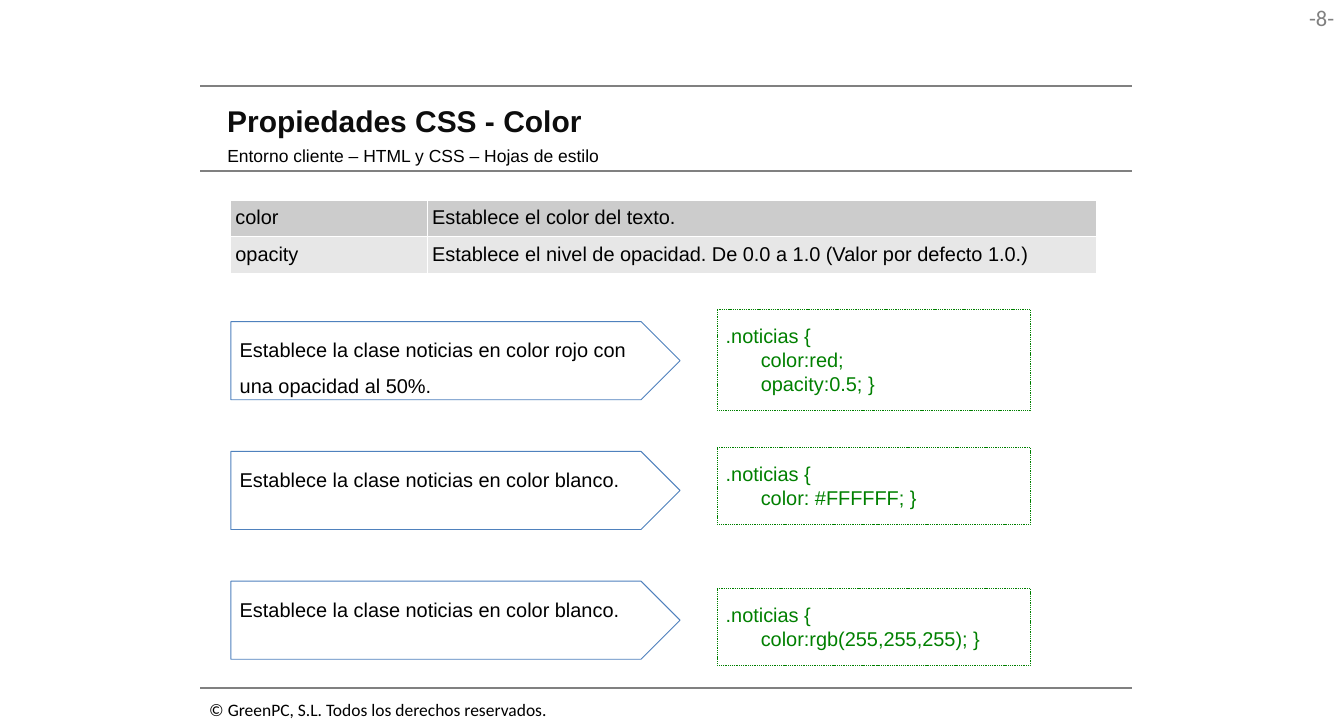
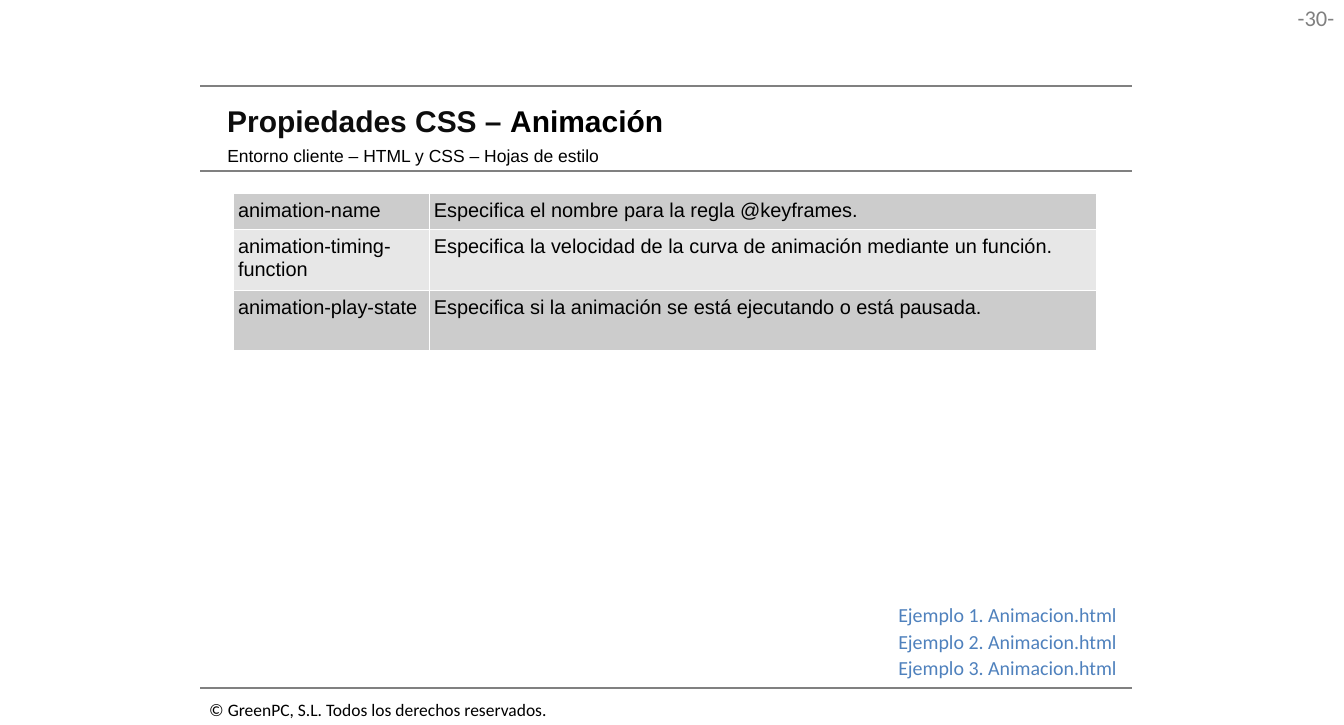
from lxml.etree import SubElement
from pptx import Presentation
from pptx.dml.color import RGBColor
from pptx.enum.dml import MSO_LINE
from pptx.enum.shapes import MSO_CONNECTOR, MSO_SHAPE
from pptx.enum.text import MSO_ANCHOR, PP_ALIGN
from pptx.oxml.ns import qn
from pptx.util import Inches, Pt

COLORS = {
    "black": "000000", "title": "0D0D0D", "gray": "808080", "white": "FFFFFF",
    "code": "008000", "blue": "4F81BD", "dark band": "CCCCCC", "light band": "E7E7E7",
}
STYLES = {
    "title": {"name": "Arial", "size": Pt(24), "bold": True, "color": "title"},
    "title black": {"name": "Arial", "size": Pt(24), "bold": True, "color": "black"},
    "subtitle": {"name": "Arial", "size": Pt(14), "color": "black"},
    "body": {"name": "Arial", "size": Pt(16), "color": "black"},
    "code": {"name": "Arial", "size": Pt(16), "color": "code"},
    "example": {"name": "Calibri", "size": Pt(16), "color": "blue"},
    "footer": {"name": "Calibri", "size": Pt(14), "color": "black"},
    "number": {"name": "Calibri", "size": Pt(18), "color": "gray"},
}
PLAIN_FRAME = {"word_wrap": True, "vertical_anchor": MSO_ANCHOR.TOP}
HEADING_FRAME = {
    "word_wrap": True, "vertical_anchor": MSO_ANCHOR.MIDDLE,
    "margin_left": Inches(0.13), "margin_right": Inches(0.13),
    "margin_top": Inches(0.07), "margin_bottom": Inches(0.07),
}
CODE_FRAME = {**PLAIN_FRAME, "margin_top": Inches(0.16), "margin_bottom": Inches(0.16)}
CELL_FORMAT = {
    "margin_left": Inches(0.05), "margin_right": Inches(0.05),
    "margin_top": Inches(0.07), "margin_bottom": Inches(0.07),
}

# Slide contents
SLIDES = [
    {
        "number": "-8-",
        "title": [("Propiedades CSS - Color", "title")],
        "table": {
            "left": 17.18, "top": 27.63, "columns": [14.64, 49.8], "rows": [4.87, 4.87],
            "cells": [
                ("color", "Establece el color del texto."),
                ("opacity", "Establece el nivel de opacidad. De 0.0 a 1.0 (Valor por defecto 1.0.)"),
            ],
        },
        # Explanation, top and height of the code box, code lines
        "rules": [
            ("Establece la clase noticias en color rojo con una opacidad al 50%.",
             42.63, 14, ["color:red;", "opacity:0.5; }"]),
            ("Establece la clase noticias en color blanco.",
             61.71, 10.66, ["color: #FFFFFF; }"]),
            ("Establece la clase noticias en color blanco.",
             81.16, 10.66, ["color:rgb(255,255,255); }"]),
        ],
        "examples": [],
    },
    {
        "number": "-30-",
        "title": [("Propiedades CSS – ", "title"), ("Animación", "title black")],
        "table": {
            "left": 17.38, "top": 26.64, "columns": [14.57, 49.67], "rows": [4.96, 8.3, 8.3],
            "cells": [
                ("animation-name", "Especifica el nombre para la regla @keyframes."),
                ("animation-timing-function",
                 "Especifica la velocidad de la curva de animación mediante un función."),
                ("animation-play-state",
                 "Especifica si la animación se está ejecutando o está pausada."),
            ],
        },
        "rules": [],
        "examples": [f"Ejemplo {number}. Animacion.html" for number in (1, 2, 3)],
    },
]

presentation = Presentation()
presentation.slide_width = Inches(14.96)
presentation.slide_height = Inches(8.07)
# The grid has 100 columns and 100 rows
COLUMN = presentation.slide_width / 100
ROW = presentation.slide_height / 100


def add_box(slide, left, top, width, height, frame_format, kind=None):
    """Add a text box, or a preset shape when a kind is given, placed on the grid."""
    place = int(left * COLUMN), int(top * ROW), int(width * COLUMN), int(height * ROW)
    if kind is None:
        shape = slide.shapes.add_textbox(*place)
    else:
        shape = slide.shapes.add_shape(kind, *place)
        shape.shadow.inherit = False
    for attribute, value in frame_format.items():
        setattr(shape.text_frame, attribute, value)
    return shape


def write(paragraph, text, style, alignment=PP_ALIGN.LEFT):
    """Add one run of styled text to a paragraph."""
    paragraph.alignment = alignment
    run = paragraph.add_run()
    run.text = text
    for attribute, value in STYLES[style].items():
        if attribute == "color":
            run.font.color.rgb = RGBColor.from_string(COLORS[value])
        else:
            setattr(run.font, attribute, value)


for content in SLIDES:
    slide = presentation.slides.add_slide(presentation.slide_layouts[6])

    # Page number, rules and footer
    number = add_box(slide, 94.45, 0, 5.48, 5.08, PLAIN_FRAME)
    write(number.text_frame.paragraphs[0], content["number"], "number", PP_ALIGN.RIGHT)
    for row in (11.9, 23.54, 94.92):
        line = slide.shapes.add_connector(
            MSO_CONNECTOR.STRAIGHT,
            int(14.91 * COLUMN), int(row * ROW), int(84.22 * COLUMN), int(row * ROW))
        line.line.color.rgb = RGBColor.from_string(COLORS["gray"])
        line.line.width = Pt(1.5)
        SubElement(line._element.spPr, qn("a:effectLst"))
    footer = add_box(slide, 14.91, 95.79, 28, 4.21, PLAIN_FRAME)
    write(footer.text_frame.paragraphs[0],
          "© GreenPC, S.L. Todos los derechos reservados.", "footer")

    # Title and subtitle
    title = add_box(slide, 16.04, 13.26, 67.65, 6.69, HEADING_FRAME)
    for text, style in content["title"]:
        write(title.text_frame.paragraphs[0], text, style)
    subtitle = add_box(slide, 16.04, 19.21, 50.8, 4.58, HEADING_FRAME)
    write(subtitle.text_frame.paragraphs[0],
          "Entorno cliente – HTML y CSS – Hojas de estilo", "subtitle")

    # Table of properties
    layout = content["table"]
    table = slide.shapes.add_table(
        len(layout["rows"]), len(layout["columns"]),
        int(layout["left"] * COLUMN), int(layout["top"] * ROW),
        int(sum(layout["columns"]) * COLUMN), int(sum(layout["rows"]) * ROW)).table
    table.first_row = table.horz_banding = False
    for column, width in zip(table.columns, layout["columns"]):
        column.width = int(width * COLUMN)
    for index, (row, height) in enumerate(zip(table.rows, layout["rows"])):
        row.height = int(height * ROW)
        band = "light band" if index % 2 else "dark band"
        for cell, text in zip(row.cells, layout["cells"][index]):
            for attribute, value in CELL_FORMAT.items():
                setattr(cell, attribute, value)
            write(cell.text_frame.paragraphs[0], text, "body")
            properties = cell._tc.get_or_add_tcPr()
            for side in ("a:lnL", "a:lnR", "a:lnT", "a:lnB"):
                border = SubElement(properties, qn(side), w=str(Pt(1)))
                fill = SubElement(border, qn("a:solidFill"))
                SubElement(fill, qn("a:srgbClr"), val=COLORS["white"])
            cell.fill.solid()
            cell.fill.fore_color.rgb = RGBColor.from_string(COLORS[band])

    # Explanations with their code
    for index, (explanation, top, height, code_lines) in enumerate(content["rules"]):
        code = add_box(slide, 53.34, top, 23.33, height, CODE_FRAME, MSO_SHAPE.RECTANGLE)
        code.fill.solid()
        code.fill.fore_color.rgb = RGBColor.from_string(COLORS["white"])
        code.line.color.rgb = RGBColor.from_string(COLORS["code"])
        code.line.width = Pt(0.25)
        code.line.dash_style = MSO_LINE.DASH
        write(code.text_frame.paragraphs[0], ".noticias {", "code")
        for code_line in code_lines:
            paragraph = code.text_frame.add_paragraph()
            paragraph._p.get_or_add_pPr().set("marL", str(Inches(0.39)))
            write(paragraph, code_line, "code")

        arrow = add_box(slide, 17.18, 44.36 + index * 17.9, 33.42, 10.78,
                        PLAIN_FRAME, MSO_SHAPE.PENTAGON)
        arrow.fill.background()
        arrow.line.color.rgb = RGBColor.from_string(COLORS["blue"])
        arrow.line.width = Pt(0.75)
        arrow.text_frame.paragraphs[0].line_spacing = 1.5
        write(arrow.text_frame.paragraphs[0], explanation, "body")

    # Example files
    for index, text in enumerate(content["examples"]):
        example = add_box(slide, 66.18, 82.53 + index * 3.66, 18.72, 4.58, PLAIN_FRAME)
        write(example.text_frame.paragraphs[0], text, "example")

presentation.save("out.pptx")
